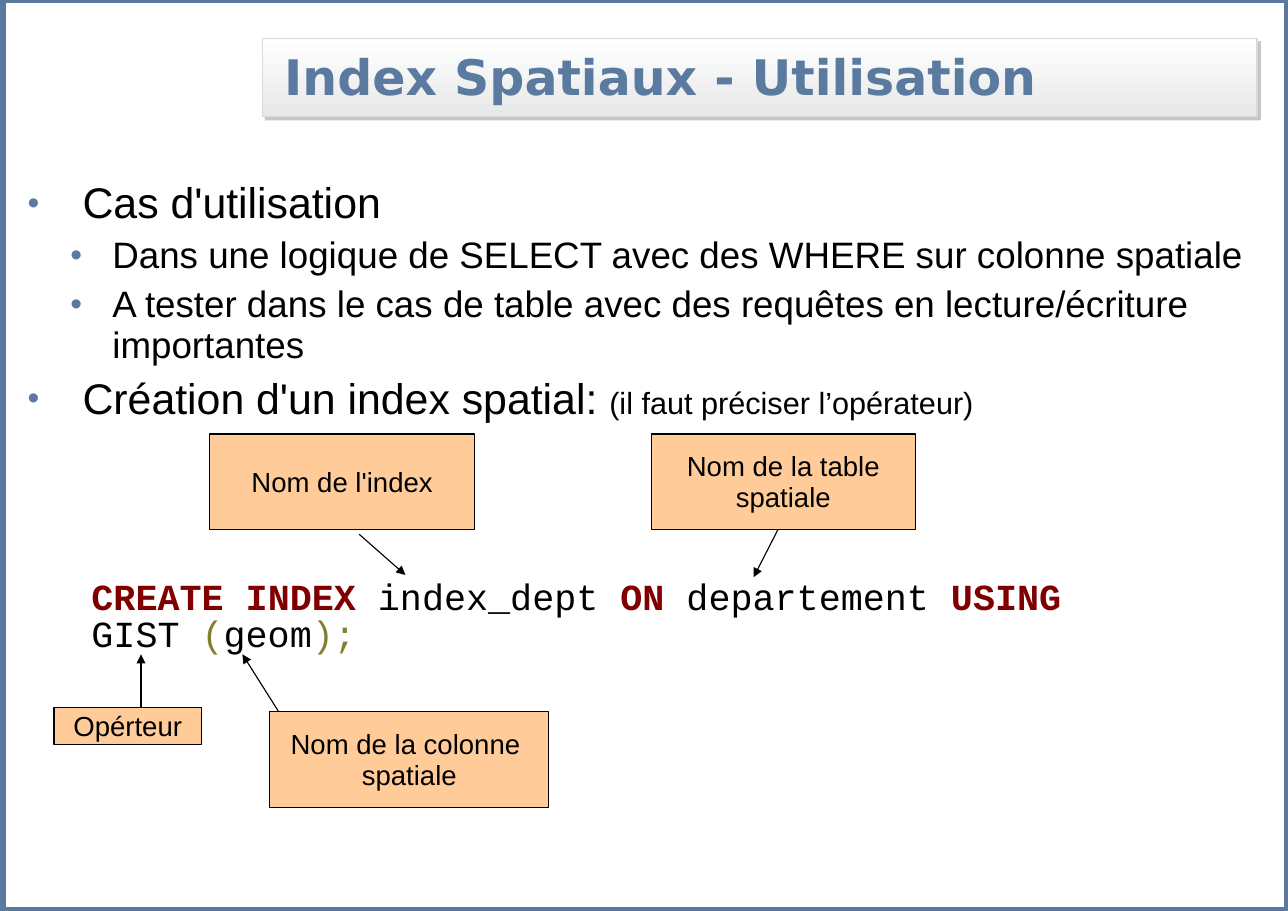
from lxml.etree import SubElement
from pptx import Presentation
from pptx.dml.color import RGBColor
from pptx.enum.shapes import MSO_CONNECTOR, MSO_SHAPE
from pptx.enum.text import MSO_ANCHOR, PP_ALIGN
from pptx.oxml.ns import qn
from pptx.util import Pt

PX = 9144  # 100 px to the inch
BLUE, BLACK, PEACH = "5B7A9F", "000000", "FFCC99"
KEYWORD, BRACKET = "800000", "808030"

# text, level, size, space before, trailing remark
BODY = [
    ("Cas d'utilisation", 0, 28, 6, ""),
    ("Dans une logique de SELECT avec des WHERE sur colonne spatiale", 1, 24, 5, ""),
    ("A tester dans le cas de table avec des requêtes en lecture/écriture importantes", 1, 24, 5, ""),
    ("Création d'un index spatial: ", 0, 28, 6, "(il faut préciser l’opérateur)"),
]
# margin, indent and bullet size of each level
LEVELS = [(50, -50, 78), (77, -38, 91)]

STATEMENT = [
    ("CREATE INDEX", KEYWORD), (" index_dept ", BLACK), ("ON", KEYWORD),
    (" departement ", BLACK), ("USING", KEYWORD), (" GIST ", BLACK),
    ("(", BRACKET), ("geom", BLACK), (");", BRACKET),
]
# left, top, width, height, lines
LABELS = [
    (190, 394, 241, 87, ["Nom de l'index"]),
    (591, 394, 240, 87, ["Nom de la table", "spatiale"]),
    (245, 646, 253, 87, ["Nom de la colonne ", "spatiale"]),
    (49, 642, 134, 34, ["Opérteur"]),
]
ARROWS = [
    (275, 681, 220, 594),
    (326, 485, 368, 522),
    (706, 481, 684, 524),
    (128, 642, 128, 594),
]


def px(*lengths):
    return [length * PX for length in lengths]


def rgb(code):
    return RGBColor.from_string(code)


def set_frame(frame, margins, anchor=MSO_ANCHOR.TOP):
    """Margins are left, top, right, bottom."""
    frame.word_wrap = True
    frame.vertical_anchor = anchor
    (frame.margin_left, frame.margin_top,
     frame.margin_right, frame.margin_bottom) = px(*margins)


def add_paragraph(frame, text, size, font="Arial", color=BLACK, spacing=0.93, before=0):
    para = frame.add_paragraph() if frame.text else frame.paragraphs[0]
    para.line_spacing = spacing
    para.space_before = Pt(before)
    para.font.size = Pt(size)
    para.font.name = font
    para.font.color.rgb = rgb(color)
    if text:
        para.add_run().text = text
    return para


def set_indent(para, margin, indent):
    properties = para._p.get_or_add_pPr()
    properties.set("marL", str(margin * PX))
    properties.set("indent", str(indent * PX))
    return properties


def add_bullet(para, margin, indent, percent):
    properties = set_indent(para, margin, indent)
    color = SubElement(properties, qn("a:buClr"))
    SubElement(color, qn("a:srgbClr"), val=BLUE)
    SubElement(properties, qn("a:buSzPct"), val=str(percent * 1000))
    SubElement(properties, qn("a:buFont"), typeface="Arial")
    SubElement(properties, qn("a:buChar"), char="•")
    properties.append(properties.find(qn("a:defRPr")))  # the schema wants it last


def add_box(page, left, top, width, height, line, weight=0.75, fill=None):
    box = page.shapes.add_shape(MSO_SHAPE.RECTANGLE, *px(left, top, width, height))
    box.shadow.inherit = False
    box.line.color.rgb = rgb(line)
    box.line.width = Pt(weight)
    if fill:
        box.fill.solid()
        box.fill.fore_color.rgb = rgb(fill)
    else:
        box.fill.background()
    return box


def add_title(page):
    box = add_box(page, 238, 35, 903, 71, "D9D9D9")
    box.fill.gradient()
    box.fill.gradient_angle = 270
    for stop, color in zip(box.fill.gradient_stops, ("FFFFFF", "E7E8E9")):
        stop.color.rgb = rgb(color)
    effects = box._element.spPr.find(qn("a:effectLst"))
    shadow = SubElement(effects, qn("a:outerShdw"), blurRad="0", dist=str(Pt(3)),
                        dir="2700000", algn="tl", rotWithShape="0")
    shade = SubElement(shadow, qn("a:srgbClr"), val="7F7F7F")
    SubElement(shade, qn("a:alpha"), val="43000")
    set_frame(box.text_frame, (0, 3, 0, 0), MSO_ANCHOR.MIDDLE)
    para = add_paragraph(box.text_frame, "Index Spatiaux - Utilisation", 32, "DejaVu Sans", BLUE)
    para.font.bold = True
    para.alignment = PP_ALIGN.LEFT
    set_indent(para, 40, -20)


def add_body(page):
    frame = page.shapes.add_textbox(*px(25, 161, 1114, 630)).text_frame
    set_frame(frame, (0, 3, 0, 0))
    for text, level, size, before, remark in BODY:
        para = add_paragraph(frame, text, size, before=before)
        para.level = level
        add_bullet(para, *LEVELS[level])
        if remark:
            span = para.add_run()
            span.text = remark
            span.font.size = Pt(20)


def add_statement(page):
    frame = page.shapes.add_textbox(*px(83, 523, 909, 95)).text_frame
    set_frame(frame, (0, 5, 0, 0))
    para = add_paragraph(frame, "", 24, "Courier New", spacing=0.83, before=6)
    for text, color in STATEMENT:
        span = para.add_run()
        span.text = text
        span.font.color.rgb = rgb(color)
        span.font.bold = color == KEYWORD


def add_label(page, left, top, width, height, lines):
    box = add_box(page, left, top, width, height, BLACK, fill=PEACH)
    set_frame(box.text_frame, (10, 7, 10, 5), MSO_ANCHOR.MIDDLE)
    for line in lines:
        add_paragraph(box.text_frame, line, 18).alignment = PP_ALIGN.CENTER


def add_arrow(page, *ends):
    arrow = page.shapes.add_connector(MSO_CONNECTOR.STRAIGHT, *px(*ends))
    arrow.line.color.rgb = rgb(BLACK)
    arrow.line.width = Pt(0.75)
    SubElement(arrow.line._get_or_add_ln(), qn("a:tailEnd"), type="triangle")
    SubElement(arrow._element.spPr, qn("a:effectLst"))


def main():
    deck = Presentation()
    deck.slide_width, deck.slide_height = px(1169, 827)
    page = deck.slides.add_slide(deck.slide_layouts[6])
    add_box(page, 2, 0, 1167, 827, "5B799E", 4.5)
    add_title(page)
    add_body(page)
    add_statement(page)
    # Labels go above the arrows and hide the ends that start inside them.
    for ends in ARROWS:
        add_arrow(page, *ends)
    for label in LABELS:
        add_label(page, *label)
    deck.save("out.pptx")


if __name__ == "__main__":
    main()
